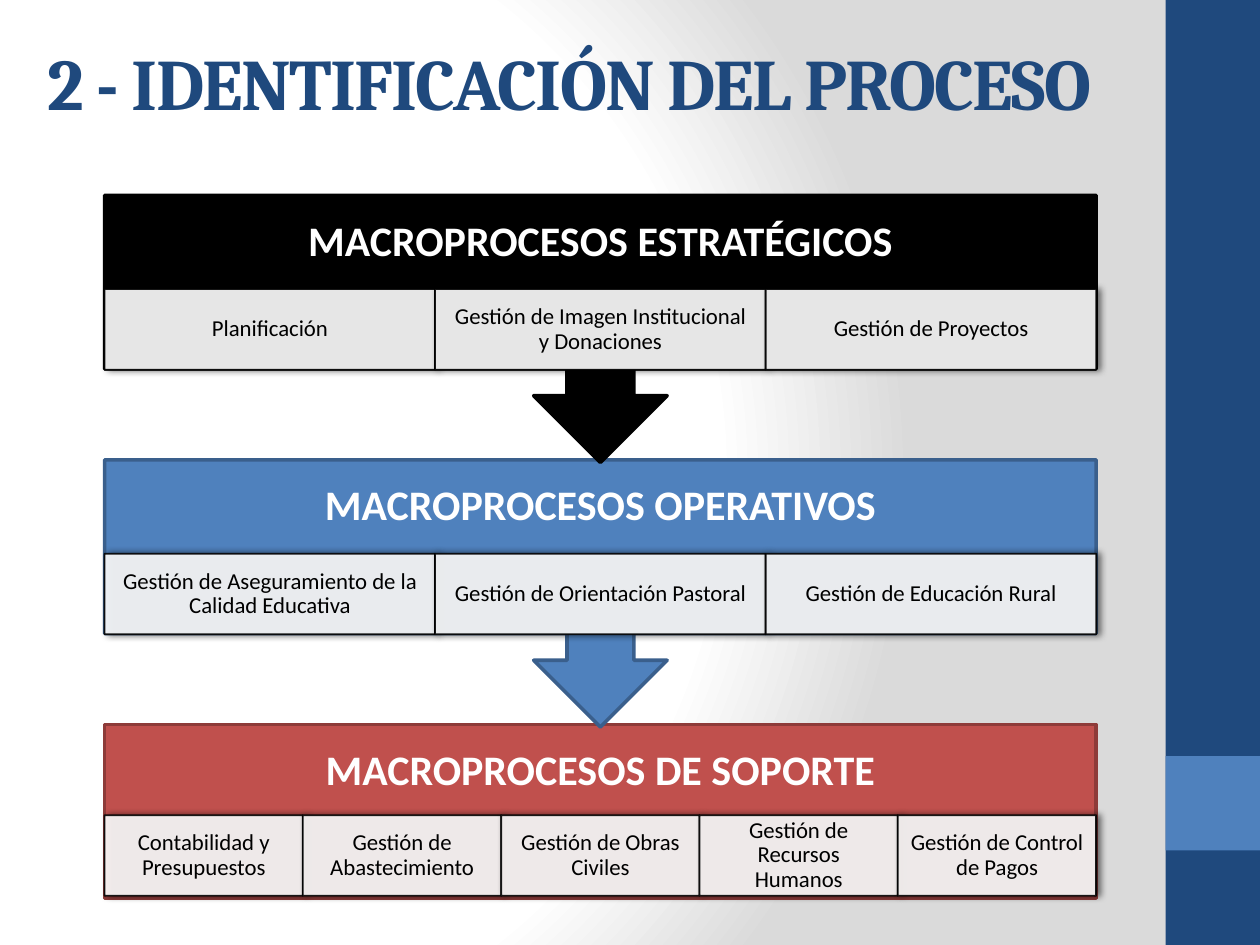
import pptx
import pptx.dml.color
import pptx.enum.shapes
import pptx.enum.text
import pptx.oxml
import pptx.oxml.ns
import pptx.util

KIND = pptx.enum.shapes.MSO_SHAPE
ALIGN = pptx.enum.text.PP_ALIGN
MIDDLE = pptx.enum.text.MSO_ANCHOR.MIDDLE
SPACE = pptx.oxml.ns.nsdecls("p", "a")

BANDS = [
    ("MACROPROCESOS DE SOPORTE", "C0504D", "8E3B39", 57.5, 13.8, 7.2, KIND.RECTANGLE,
     ["Contabilidad y Presupuestos", "Gestión de Abastecimiento", "Gestión de Obras Civiles",
      "Gestión de Recursos Humanos", "Gestión de Control de Pagos"]),
    ("MACROPROCESOS OPERATIVOS", "4F81BD", "3A5F8C", 36.5, 21.2, 7.45, KIND.UP_ARROW_CALLOUT,
     ["Gestión de Aseguramiento de la Calidad Educativa", "Gestión de Orientación Pastoral",
      "Gestión de Educación Rural"]),
    ("MACROPROCESOS ESTRATÉGICOS", "000000", "000000", 15.5, 21.2, 7.45, KIND.UP_ARROW_CALLOUT,
     ["Planificación", "Gestión de Imagen Institucional y Donaciones", "Gestión de Proyectos"]),
]


def tint(code):
    return pptx.dml.color.RGBColor.from_string(code)


class Sheet:
    cols, rows = 100, 75
    left, span = 8.3, 78.7
    head = {"name": "Calibri", "size": pptx.util.Pt(24), "bold": True}
    body = {"name": "Calibri", "size": pptx.util.Pt(13), "bold": False}
    title = {"name": "Cambria", "size": pptx.util.Pt(41.4), "bold": True}

    def __init__(self):
        self.deck = pptx.Presentation()
        self.deck.slide_width = pptx.util.Inches(10)
        self.deck.slide_height = pptx.util.Inches(7.5)
        self.slide = self.deck.slides.add_slide(self.deck.slide_layouts[6])

    def place(self, x, y, w, h):
        col = self.deck.slide_width / self.cols
        row = self.deck.slide_height / self.rows
        return [round(n) for n in (x * col, y * row, w * col, h * row)]

    def back(self, stops):
        marks = "".join(f'<a:gs pos="{pos * 1000}"><a:srgbClr val="{code}"/></a:gs>'
                        for pos, code in stops)
        self.slide._element.cSld.insert(0, pptx.oxml.parse_xml(
            f'<p:bg {SPACE}><p:bgPr><a:gradFill rotWithShape="1"><a:gsLst>{marks}</a:gsLst>'
            '<a:path path="circle"><a:fillToRect l="20000" t="50000" r="100000" b="50000"/></a:path>'
            '</a:gradFill><a:effectLst/></p:bgPr></p:bg>'))

    def block(self, area, fill, edge=None, width=2, kind=KIND.RECTANGLE):
        shape = self.slide.shapes.add_shape(kind, *self.place(*area))
        shape.shadow.inherit = False
        shape.fill.solid()
        shape.fill.fore_color.rgb = tint(fill)
        if edge:
            shape.line.color.rgb = tint(edge)
            shape.line.width = pptx.util.Pt(width)
        else:
            shape.line.fill.background()
        return shape

    def letter(self, shape, text, style, color, pads, align=ALIGN.CENTER, lead=0.9):
        frame = shape.text_frame
        side, top = (pptx.util.Inches(pad) for pad in pads)
        form = {"word_wrap": True, "vertical_anchor": MIDDLE, "margin_left": side,
                "margin_right": side, "margin_top": top, "margin_bottom": top}
        para = frame.paragraphs[0]
        run = para.add_run()
        run.text = text
        for item, values in ((frame, form), (run.font, style),
                             (para, {"alignment": align, "line_spacing": lead})):
            for key, value in values.items():
                setattr(item, key, value)
        run.font.color.rgb = tint(color)
        return run

    def label(self, area, *args, **more):
        box = self.slide.shapes.add_textbox(*self.place(*area))
        return self.letter(box, *args, **more)

    def cell(self, area, text):
        shape = self.block(area, "FFFFFF", "000000", 1)
        props = shape._element.spPr
        for color in props.iter(pptx.oxml.ns.qn("a:srgbClr")):
            color.append(pptx.oxml.parse_xml(f'<a:alpha {SPACE} val="90000"/>'))
        props.find(pptx.oxml.ns.qn("a:effectLst")).append(pptx.oxml.parse_xml(
            f'<a:outerShdw {SPACE} blurRad="{pptx.util.Pt(4)}" dist="{pptx.util.Pt(2)}" dir="0">'
            '<a:srgbClr val="000000"><a:alpha val="60000"/></a:srgbClr></a:outerShdw>'))
        self.letter(shape, text, self.body, "000000", (0.1, 0.02))

    def band(self, name, fill, edge, top, high, drop, kind, parts):
        shape = self.block((self.left, top, self.span, high), fill, edge, kind=kind)
        if kind == KIND.UP_ARROW_CALLOUT:
            shape.rotation = 180
        self.label((self.left, top, self.span, 7.5), name, self.head, "FFFFFF", (0.19, 0.19))
        step = self.span / len(parts)
        for i, part in enumerate(parts):
            self.cell((self.left + i * step, top + drop, step, 6.4), part)


def main():
    sheet = Sheet()
    sheet.back([(0, "FFFFFF"), (75, "FFFFFF"), (100, "DADADA")])
    sheet.block((92.5, 0, 7.5, 75), "1F497D")
    sheet.block((92.5, 60, 7.5, 7.5), "4F81BD")
    run = sheet.label((2.8, 1.4, 90, 10.1), "2 - IDENTIFICACIÓN DEL PROCESO", sheet.title,
                      "1F497D", (0.1, 0.05), align=ALIGN.LEFT, lead=1.0)
    run.font._element.set("spc", "-100")
    for band in BANDS:
        sheet.band(*band)
    sheet.deck.save("out.pptx")


if __name__ == "__main__":
    main()
